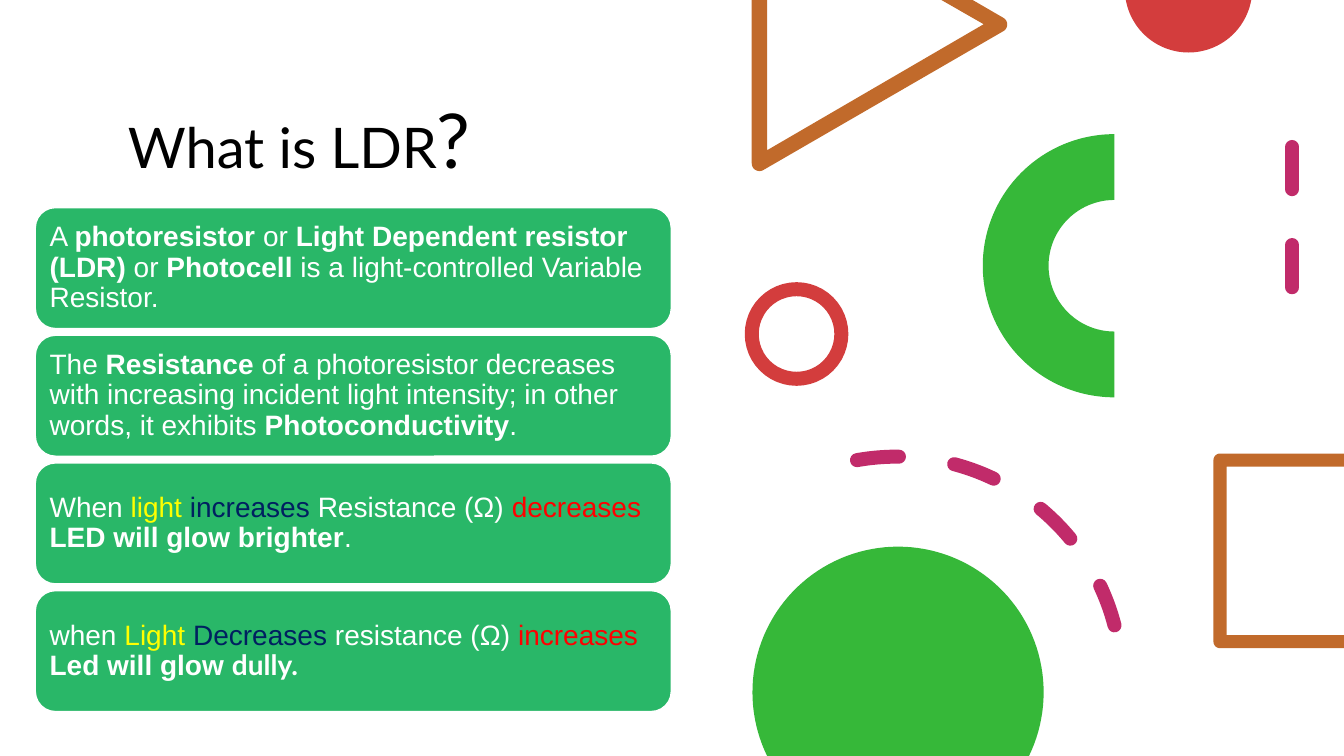
import math

import pptx
import pptx.dml.color
import pptx.enum.dml
import pptx.enum.shapes
import pptx.enum.text
import pptx.oxml.ns
import pptx.util
from lxml import etree

Pt = pptx.util.Pt
RGBColor = pptx.dml.color.RGBColor
Shape = pptx.enum.shapes.MSO_SHAPE

BLACK = RGBColor(0x00, 0x00, 0x00)
WHITE = RGBColor(0xFF, 0xFF, 0xFF)
CARD_GREEN = RGBColor(0x29, 0xB7, 0x68)
GREEN = RGBColor(0x36, 0xB8, 0x39)
RED = RGBColor(0xD3, 0x3D, 0x3D)
BROWN = RGBColor(0xC1, 0x6A, 0x2B)
PINK = RGBColor(0xC1, 0x2B, 0x6A)
YELLOW = RGBColor(0xFF, 0xFF, 0x00)
NAVY = RGBColor(0x00, 0x20, 0x60)
BRIGHT_RED = RGBColor(0xFF, 0x00, 0x00)

SLIDE_WIDTH, SLIDE_HEIGHT = 960, 540
CARD_LEFT, CARD_TOP, CARD_WIDTH, CARD_HEIGHT = 25.2, 148.3, 454.3, 86.4
CARD_PITCH = 91.2
STROKE = 10

PLAIN = {"name": "Arial", "size": Pt(20), "bold": False}
BOLD = {**PLAIN, "bold": True}
BOLD_LATO = {**BOLD, "name": "Lato"}

CARDS = [
    [
        ("A ", PLAIN, WHITE),
        ("photoresistor ", BOLD, WHITE),
        ("or\u00a0", PLAIN, WHITE),
        ("Light\u00a0Dependent resistor (LDR)", BOLD, WHITE),
        ("\u00a0or\u00a0", PLAIN, WHITE),
        ("Photocell\u00a0", BOLD, WHITE),
        ("is a light-controlled\u00a0Variable Resistor.", PLAIN, WHITE),
    ],
    [
        ("The\u00a0", PLAIN, WHITE),
        ("Resistance\u00a0", BOLD, WHITE),
        ("of a\u00a0photoresistor decreases with\u00a0increasing incident "
         "light\u00a0intensity; in other words, it\u00a0exhibits\u00a0", PLAIN, WHITE),
        ("Photoconductivity", BOLD, WHITE),
        (".", PLAIN, WHITE),
    ],
    [
        ("When ", PLAIN, WHITE),
        ("light ", PLAIN, YELLOW),
        ("increases ", PLAIN, NAVY),
        ("Resistance (Ω) ", PLAIN, WHITE),
        ("decreases ", PLAIN, BRIGHT_RED),
        ("LED will glow brighter", BOLD, WHITE),
        (".", PLAIN, WHITE),
    ],
    [
        ("when ", PLAIN, WHITE),
        ("Light ", PLAIN, YELLOW),
        ("Decreases ", PLAIN, NAVY),
        ("resistance (Ω) ", PLAIN, WHITE),
        ("increases ", PLAIN, BRIGHT_RED),
        ("Led will glow ", BOLD, WHITE),
        ("dully.", BOLD_LATO, WHITE),
    ],
]


def apply(target, values):
    for name, value in values.items():
        setattr(target, name, value)


def write_spans(shape, spans, margins):
    frame = shape.text_frame
    apply(frame, {
        "word_wrap": True,
        "auto_size": pptx.enum.text.MSO_AUTO_SIZE.NONE,
        "vertical_anchor": pptx.enum.text.MSO_ANCHOR.MIDDLE,
        **margins,
    })
    para = frame.paragraphs[0]
    apply(para, {"alignment": pptx.enum.text.PP_ALIGN.LEFT, "line_spacing": 0.9})
    for text, font, color in spans:
        span = para.add_run()
        span.text = text
        apply(span.font, font)
        span.font.color.rgb = color


def paint(shape, fill=None, line=None, stroke=STROKE):
    shape.shadow.inherit = False
    if fill is None:
        shape.fill.background()
    else:
        shape.fill.solid()
        shape.fill.fore_color.rgb = fill
    if line is None:
        shape.line.fill.background()
    else:
        shape.line.color.rgb = line
        shape.line.width = Pt(stroke)


def add_preset(page, preset, left, top, width, height, **style):
    shape = page.shapes.add_shape(preset, Pt(left), Pt(top), Pt(width), Pt(height))
    paint(shape, **style)
    return shape


def add_outline(page, points, fill):
    corners = [(Pt(x), Pt(y)) for x, y in points]
    builder = page.shapes.build_freeform(*corners[0])
    builder.add_line_segments(corners[1:], close=True)
    paint(builder.convert_to_shape(), fill=fill)


def curve(center_x, center_y, radius, start, end, steps=12):
    angles = [math.radians(start + (end - start) * step / steps) for step in range(steps + 1)]
    return [(center_x + radius * math.cos(angle), center_y + radius * math.sin(angle))
            for angle in angles]


def add_cut_disc(page, center_x, center_y, radius, edge, fill):
    cut = math.degrees(math.asin((edge - center_y) / radius))
    start, end = (cut, 180 - cut) if edge == 0 else (180 - cut, 360 + cut)
    add_outline(page, curve(center_x, center_y, radius, start, end, 90), fill)


def dash_line(shape):
    shape.line.color.rgb = PINK
    shape.line.width = Pt(STROKE)
    shape.line.dash_style = pptx.enum.dml.MSO_LINE.DASH
    shape.element.spPr.find(pptx.oxml.ns.qn("a:ln")).set("cap", "rnd")


def add_dashed_line(page, x, top, bottom):
    line = page.shapes.add_connector(
        pptx.enum.shapes.MSO_CONNECTOR.STRAIGHT, Pt(x), Pt(top), Pt(x), Pt(bottom))
    dash_line(line)
    etree.SubElement(line.element.spPr, pptx.oxml.ns.qn("a:effectLst"))


def add_decorations(page):
    add_cut_disc(page, 849, -8, 45.5, 0, RED)
    add_preset(page, Shape.OVAL, 537, 206.6, 64, 64, line=RED)
    half_ring = add_preset(page, Shape.BLOCK_ARC, 702, 95.8, 188, 188, fill=GREEN)
    half_ring.rotation = 270
    triangle = [(537, 0), (548, 0), (548, 107.3), (702.7, 17.3), (672.5, 0), (694.8, 0)]
    triangle += curve(714, 17.5, 5.5, -60, 60) + curve(542.5, 116.7, 5.5, 60, 180)
    add_outline(page, triangle, BROWN)
    add_dashed_line(page, 923, 105, 230.4)
    square = [(SLIDE_WIDTH, 324), (SLIDE_WIDTH, 333.3), (876.2, 333.3),
              (876.2, 453.6), (SLIDE_WIDTH, 453.6), (SLIDE_WIDTH, 463)]
    square += curve(871.5, 458.3, 4.7, 90, 180) + curve(871.5, 328.7, 4.7, 180, 270)
    add_outline(page, square, BROWN)
    dashed_arc = add_preset(page, Shape.ARC, 479.5, 326.2, 321.8, 321.8)
    dashed_arc.rotation = 349.9
    dash_line(dashed_arc)
    add_cut_disc(page, 641.5, 494.5, 104, SLIDE_HEIGHT, GREEN)


def add_title(page):
    title = page.shapes.title
    apply(title, {"left": Pt(84.2), "top": Pt(61.9), "width": Pt(437.8), "height": Pt(82.1)})
    write_spans(title, [
        ("What is LDR", {"name": "Lato", "size": Pt(40)}, BLACK),
        ("?", {"name": "Lato", "size": Pt(54)}, BLACK),
    ], {})


def add_card(page, index, spans):
    card = add_preset(page, Shape.ROUNDED_RECTANGLE, CARD_LEFT, CARD_TOP + index * CARD_PITCH,
                      CARD_WIDTH, CARD_HEIGHT, fill=CARD_GREEN, line=WHITE, stroke=1)
    sides = ("left", "top", "right", "bottom")
    write_spans(card, spans, {f"margin_{side}": Pt(6) for side in sides})


def main():
    deck = pptx.Presentation()
    apply(deck, {"slide_width": Pt(SLIDE_WIDTH), "slide_height": Pt(SLIDE_HEIGHT)})
    page = deck.slides.add_slide(deck.slide_layouts[5])
    add_title(page)
    add_decorations(page)
    for index, spans in enumerate(CARDS):
        add_card(page, index, spans)
    deck.save("out.pptx")


main()
